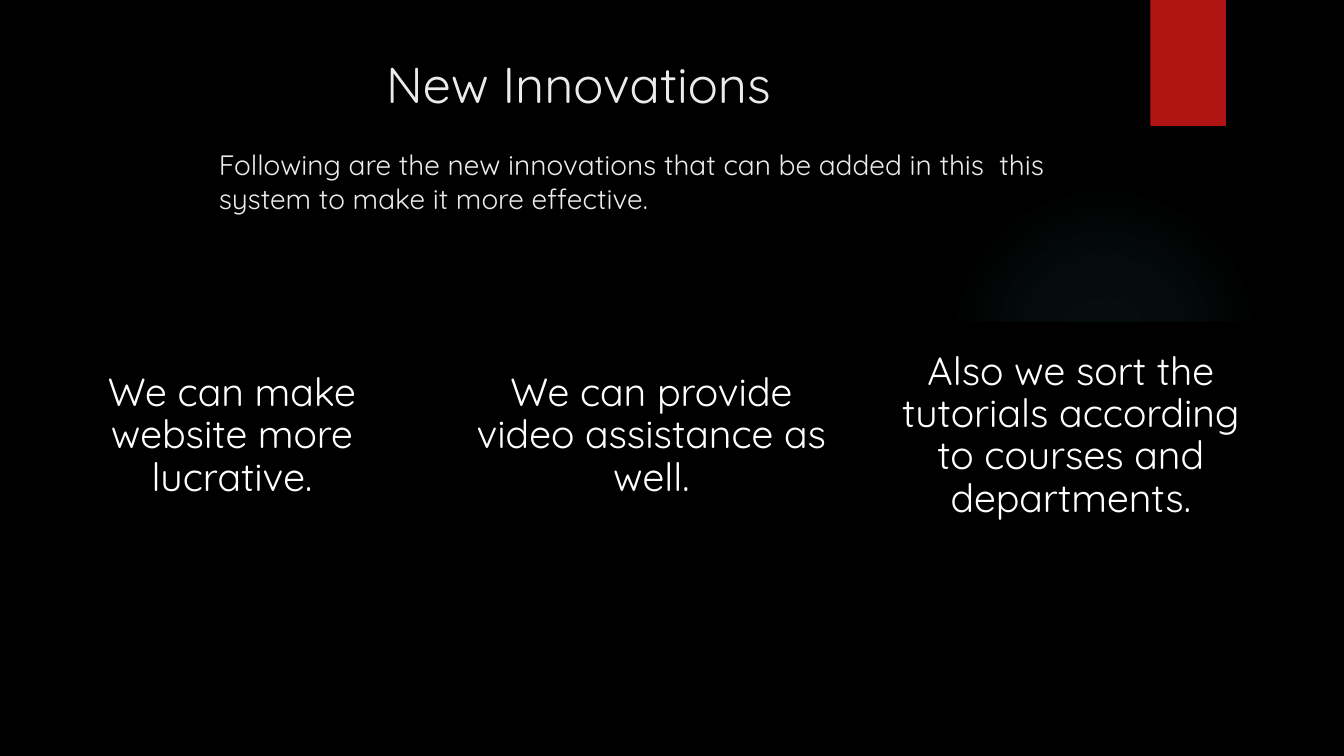
from lxml import etree
from pptx import Presentation
from pptx.dml.color import RGBColor
from pptx.enum.shapes import MSO_SHAPE
from pptx.enum.text import MSO_ANCHOR, MSO_AUTO_SIZE, PP_ALIGN
from pptx.oxml.ns import qn
from pptx.util import Inches, Pt

RECTANGLE, OVAL = MSO_SHAPE.RECTANGLE, MSO_SHAPE.OVAL
TOP, MIDDLE = MSO_ANCHOR.TOP, MSO_ANCHOR.MIDDLE
LEFT, CENTER = PP_ALIGN.LEFT, PP_ALIGN.CENTER
NO_AUTOFIT = MSO_AUTO_SIZE.NONE

COLORS = {
    "background": "000000",
    "ribbon": "B01513",
    "glow": "50B9C1",
    "heading": "EBEBEB",
    "card_text": "FFFFFF",
}
FONT = "Quicksand"
CARD_WIDTH, CARD_GAP = 3.78, 0.38
IDEAS = [
    "We can make website more lucrative.",
    "We can provide video assistance as well.",
    "Also we sort the tutorials according to courses and departments.",
]


def write(para, text, size, color, align=LEFT, indent=0, before=0, spacing=1.0):
    """Fill a paragraph with one formatted span."""
    para.alignment = align
    para.space_before = Pt(before)
    para.line_spacing = spacing
    properties = para._p.get_or_add_pPr()
    properties.set("marL", str(Inches(indent)))
    properties.set("indent", "0")
    span = para.add_run()
    span.text = text
    span.font.name = FONT
    span.font.size = Pt(size)
    span.font.color.rgb = RGBColor.from_string(COLORS[color])


class SlideBuilder:
    """Draws styled elements on one slide."""

    def __init__(self, deck):
        """Add a title-only slide with a plain background."""
        self.page = deck.slides.add_slide(deck.slide_layouts[5])
        fill = self.page.background.fill
        fill.solid()
        fill.fore_color.rgb = RGBColor.from_string(COLORS["background"])

    def shape(self, kind, left, top, width, height, color):
        """Add a flat filled shape."""
        box = self.page.shapes.add_shape(
            kind, Inches(left), Inches(top), Inches(width), Inches(height))
        box.shadow.inherit = False
        box.fill.solid()
        box.fill.fore_color.rgb = RGBColor.from_string(COLORS[color])
        box.line.fill.background()
        return box

    def glow(self, left, top, size, stops):
        """Add a circle that fades out from its centre."""
        circle = self.shape(OVAL, left, top, size, size, "glow")
        solid = circle._element.spPr.find(qn("a:solidFill"))
        gradient = etree.Element(qn("a:gradFill"), rotWithShape="1")
        stop_list = etree.SubElement(gradient, qn("a:gsLst"))
        for position, opacity in stops:
            stop = etree.SubElement(stop_list, qn("a:gs"), pos=str(position * 1000))
            color = etree.SubElement(stop, qn("a:srgbClr"), val=COLORS["glow"])
            etree.SubElement(color, qn("a:alpha"), val=str(opacity * 1000))
        focus = etree.SubElement(gradient, qn("a:path"), path="circle")
        etree.SubElement(focus, qn("a:fillToRect"),
                         l="50000", t="50000", r="50000", b="50000")
        solid.getparent().replace(solid, gradient)

    def title(self, left, top, width, height, heading, intro):
        """Place the title with its introduction below."""
        box = self.page.shapes.title
        box.left, box.top = Inches(left), Inches(top)
        box.width, box.height = Inches(width), Inches(height)
        frame = box.text_frame
        frame.word_wrap = True
        frame.auto_size = NO_AUTOFIT
        frame.vertical_anchor = TOP
        write(frame.paragraphs[0], heading, 36, "heading", indent=1.66)
        write(frame.add_paragraph(), intro, 20, "heading", before=24)

    def card(self, left, top, width, height, text):
        """Add a dark card with centred text."""
        box = self.shape(RECTANGLE, left, top, width, height, "background")
        frame = box.text_frame
        frame.word_wrap = True
        frame.vertical_anchor = MIDDLE
        frame.margin_left = frame.margin_right = Inches(0.12)
        frame.margin_top = frame.margin_bottom = Inches(0.12)
        write(frame.paragraphs[0], text, 28, "card_text", align=CENTER, spacing=0.9)


def main():
    """Build and save the deck."""
    deck = Presentation()
    deck.slide_width, deck.slide_height = Inches(13.33), Inches(7.5)
    builder = SlideBuilder(deck)
    builder.glow(9.41, 1.83, 3.08, [(0, 7), (36, 6), (69, 0)])
    builder.shape(RECTANGLE, 11.41, 0, 0.75, 1.25, "ribbon")
    builder.title(
        2.07, 0.48, 8.51, 1.68, "New Innovations",
        "Following are the new innovations that can be added in this  this "
        "system to make it more effective.")
    for index, idea in enumerate(IDEAS):
        left = 0.41 + index * (CARD_WIDTH + CARD_GAP)
        builder.card(left, 3.19, CARD_WIDTH, 2.27, idea)
    deck.save("out.pptx")


if __name__ == "__main__":
    main()
